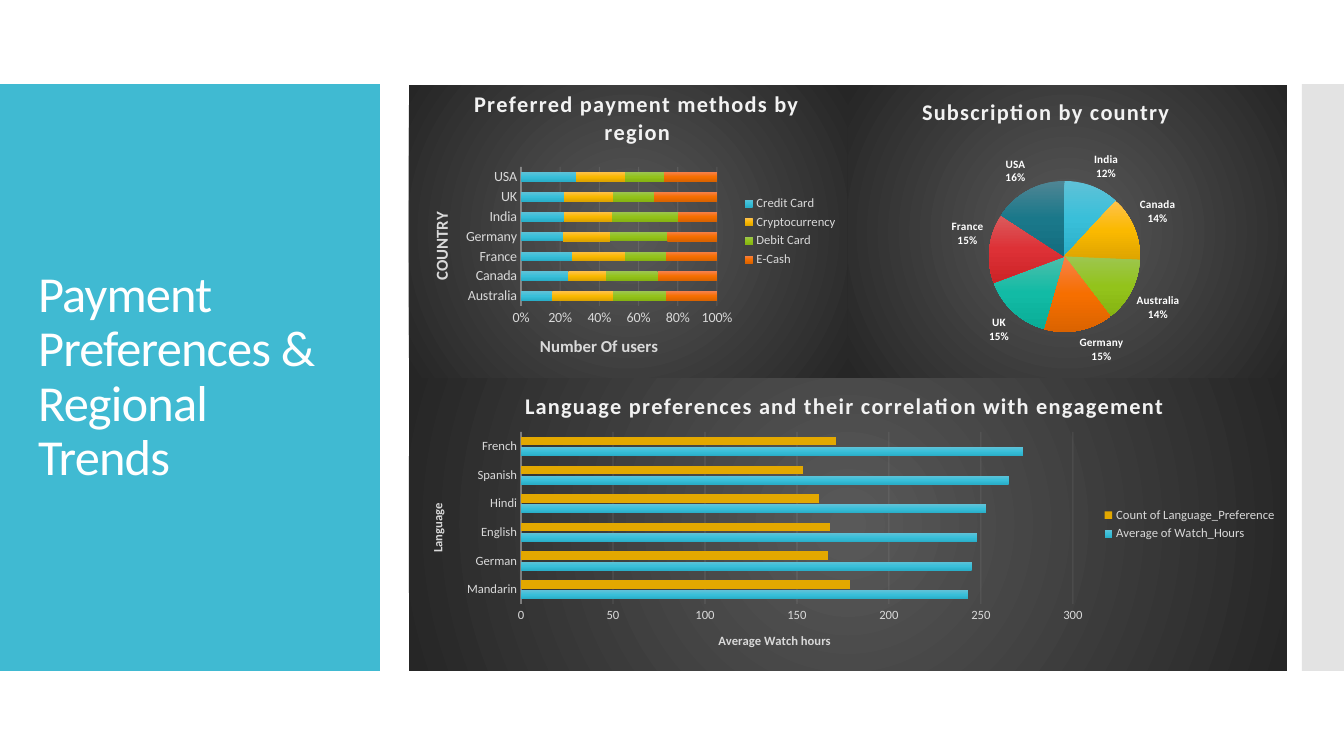
from dataclasses import dataclass
from lxml import etree
from pptx import Presentation
from pptx.chart.data import CategoryChartData
from pptx.dml.color import RGBColor
from pptx.enum.chart import XL_CHART_TYPE, XL_LABEL_POSITION, XL_LEGEND_POSITION, XL_TICK_MARK
from pptx.enum.shapes import MSO_SHAPE
from pptx.enum.text import MSO_ANCHOR, MSO_AUTO_SIZE, PP_ALIGN
from pptx.oxml import parse_xml
from pptx.oxml.ns import nsdecls, qn
from pptx.util import Pt

STACK = XL_CHART_TYPE.BAR_STACKED_100
PIE = XL_CHART_TYPE.PIE
BAR = XL_CHART_TYPE.BAR_CLUSTERED
OUTSIDE = XL_LABEL_POSITION.OUTSIDE_END
RIGHT = XL_LEGEND_POSITION.RIGHT
NO_TICK = XL_TICK_MARK.NONE
RECT = MSO_SHAPE.RECTANGLE
MIDDLE = MSO_ANCHOR.MIDDLE
LEFT = PP_ALIGN.LEFT
FIXED = MSO_AUTO_SIZE.NONE
PX = 12192000 / 1344
LINEAR = '<a:lin ang="5400000" scaled="0"/>'
RADIAL = '<a:path path="circle"><a:fillToRect l="50000" t="50000" r="50000" b="50000"/></a:path>'


@dataclass
class Theme:
    """Colours, font and type sizes."""
    font: str = "Calibri"
    panel: str = "40BAD2"
    strip: str = "C8C8C8"
    white: str = "FFFFFF"
    pale: str = "F2F2F2"
    text: str = "D9D9D9"
    gold: str = "E3A800"
    dark: tuple = ("595959", "262626")
    hues: tuple = (
        ("5FC2D8", "39BFD9", "2AAFC9"), ("FFC24B", "FAB900", "DEA400"),
        ("9DC650", "93C31B", "86B412"), ("F7814B", "F66F00", "DB6300"),
        ("4DBEAB", "12BBA5", "0AAD97"), ("DB5B5D", "DD3136", "CD2327"),
        ("4F8594", "1A788A", "136D7F"))
    title: int = 36
    head: int = 16
    axis: int = 12
    base: int = 10
    small: int = 9
    label: int = 8


def px(*vals):
    """Turn pixel lengths into EMU."""
    return [round(v * PX) for v in vals]


def fade(hues, tail):
    """Make a gradient fill with even stops."""
    step = 100000 // (len(hues) - 1)
    stops = "".join(f'<a:gs pos="{i * step}"><a:srgbClr val="{h}"/></a:gs>'
                    for i, h in enumerate(hues))
    return f'<a:gradFill {nsdecls("a")} rotWithShape="1"><a:gsLst>{stops}</a:gsLst>{tail}</a:gradFill>'


def sheer(root, share):
    """Give every colour under root an opacity in percent."""
    for tint in root.iter(qn("a:srgbClr")):
        etree.SubElement(tint, qn("a:alpha")).set("val", str(share * 1000))


class Deck:
    """Builds the slide in one style."""

    def __init__(self, theme):
        """Open a blank title-only slide."""
        self.theme = theme
        self.prs = Presentation()
        self.prs.slide_width, self.prs.slide_height = px(1344, 756)
        self.slide = self.prs.slides.add_slide(self.prs.slide_layouts[5])
        self.shapes = self.slide.shapes

    def style(self, font, size, hue, bold=False):
        """Set the look of a font."""
        font.name, font.size, font.bold = self.theme.font, Pt(size), bold
        font.color.rgb = RGBColor.from_string(hue)

    def block(self, box, hue, share=100):
        """Draw a plain rectangle."""
        shape = self.shapes.add_shape(RECT, *px(*box))
        shape.shadow.inherit = False
        shape.fill.solid()
        shape.fill.fore_color.rgb = RGBColor.from_string(hue)
        shape.line.fill.background()
        if share < 100:
            sheer(shape._element.spPr, share)

    def title(self, text, box):
        """Fill the title and lift it to the front."""
        shape = self.shapes.title
        shape.left, shape.top, shape.width, shape.height = px(*box)
        frame = shape.text_frame
        frame.text, frame.word_wrap = text, True
        frame.auto_size, frame.vertical_anchor = FIXED, MIDDLE
        para = frame.paragraphs[0]
        para.alignment, para.line_spacing = LEFT, 0.9
        self.style(para.font, self.theme.title, self.theme.white)
        para.runs[0].font._element.set("spc", "-60")
        self.shapes._spTree.append(shape._element)

    def place(self, part, index, spot, box):
        """Pin a chart part by its slide position."""
        for old in part.findall(qn("c:layout")):
            part.remove(old)
        left, top, wide, high = box
        vals = {"x": (spot[0] - left) / wide, "y": (spot[1] - top) / high}
        if len(spot) == 4:
            vals.update(w=spot[2] / wide, h=spot[3] / high)
        target = '<c:layoutTarget val="inner"/>' if len(spot) == 4 else ""
        modes = "".join(f'<c:{k}Mode val="edge"/>' for k in "xy")
        sizes = "".join(f'<c:{k} val="{v:.4f}"/>' for k, v in vals.items())
        part.insert(index, parse_xml(
            f'<c:layout {nsdecls("c")}><c:manualLayout>{target}{modes}{sizes}'
            '</c:manualLayout></c:layout>'))

    def caption(self, title, text, size, hue, spot, box):
        """Write a chart or axis title and pin it."""
        para = title.text_frame.paragraphs[0]
        para.text = text
        self.style(para.font, size, hue, True)
        self.place(title._element, 1, spot, box)
        return title.text_frame

    def tint(self, form, hue):
        """Fill a series or point with a colour or a gradient."""
        form.fill.solid()
        if isinstance(hue, str):
            form.fill.fore_color.rgb = RGBColor.from_string(hue)
        else:
            props = form._element.get_or_add_spPr()
            props.replace(props.find(qn("a:solidFill")), parse_xml(fade(hue, LINEAR)))

    def chart(self, kind, box, plot, cats, rows, head, spot):
        """Add a dark chart with a title."""
        data = CategoryChartData()
        data.categories = cats
        for name, vals in rows:
            data.add_series(name, vals)
        chart = self.shapes.add_chart(kind, *px(*box), data).chart
        self.style(chart.font, self.theme.base, self.theme.text)
        root = chart._chartSpace
        root.find(qn("c:chart")).addnext(parse_xml(
            f'<c:spPr {nsdecls("c", "a")}>{fade(self.theme.dark, RADIAL)}'
            '<a:ln><a:noFill/></a:ln></c:spPr>'))
        chart.has_title, chart.has_legend = True, False
        frame = self.caption(chart.chart_title, head, self.theme.head, self.theme.pale, spot, box)
        frame.paragraphs[0].font._element.set("spc", "100")
        self.place(next(root.iter(qn("c:plotArea"))), 0, plot, box)
        chart.plots[0].vary_by_categories = kind == PIE
        return chart

    def bars(self, chart, box, size, hues, overlap, names, form, top, step):
        """Format bars, axes and legend."""
        plot = chart.plots[0]
        plot.gap_width, plot.overlap = 115, overlap
        for row, hue in zip(plot.series, hues):
            self.tint(row.format, hue)
        axes = chart.category_axis, chart.value_axis
        for axis, (text, large, spot) in zip(axes, names):
            axis.major_tick_mark = axis.minor_tick_mark = NO_TICK
            self.style(axis.tick_labels.font, size, self.theme.text)
            frame = self.caption(axis.axis_title, text, large, self.theme.text, spot, box)
            if axis is axes[0]:
                frame._txBody.bodyPr.set("rot", "-5400000")
                frame._txBody.bodyPr.set("vert", "horz")
        cat, val = axes
        val.has_major_gridlines = True
        val.minimum_scale, val.maximum_scale, val.major_unit = 0, top, step
        val.tick_labels.number_format = form
        val.tick_labels.number_format_is_linked = False
        val.format.line.fill.background()
        for owner, width, share in ((cat, 1, 54), (val.major_gridlines, 0.75, 10)):
            line = owner.format.line
            line.width = Pt(width)
            line.color.rgb = RGBColor.from_string(self.theme.pale)
            sheer(owner.format._element.spPr, share)
        chart.has_legend = True
        chart.legend.position, chart.legend.include_in_layout = RIGHT, False
        self.style(chart.legend.font, self.theme.small, self.theme.text)

    def slices(self, chart):
        """Format pie slices and their labels."""
        plot = chart.plots[0]
        for i, hue in enumerate(self.theme.hues):
            self.tint(plot.series[0].points[i].format, hue)
        plot.has_data_labels = True
        labels = plot.data_labels
        labels.show_value = False
        labels.show_category_name = labels.show_percentage = True
        labels.position = OUTSIDE
        self.style(labels.font, self.theme.label, self.theme.white, True)
        labels._element.find(qn("c:showBubbleSize")).addnext(
            parse_xml(f'<c:separator {nsdecls("c")}>\n</c:separator>'))


def main():
    """Build and save the slide."""
    theme = Theme()
    deck = Deck(theme)
    deck.block((0, 84, 380, 587), theme.panel)
    deck.block((1302, 84, 42, 587), theme.strip, 50)
    deck.title("Payment Preferences & Regional Trends", (28, 124, 325, 507))

    box = (409, 85, 439, 293)
    pay = deck.chart(
        STACK, box, (521, 167, 196, 139),
        ["Australia", "Canada", "France", "Germany", "India", "UK", "USA"],
        [("Credit Card", (16, 24, 26, 21, 22, 22, 28)),
         ("Cryptocurrency", (31, 19, 27, 24, 25, 25, 25)),
         ("Debit Card", (27, 26, 21, 29, 34, 21, 20)),
         ("E-Cash", (26, 30, 26, 25, 20, 32, 27))],
        "Preferred payment methods by region", (470, 84))
    deck.bars(pay, box, theme.base, theme.hues, 100,
              [("COUNTRY", theme.axis, (427, 209)),
               ("Number Of users", theme.axis, (537, 332))], "0%", 1, 0.2)

    share = deck.chart(
        PIE, (848, 85, 439, 293), (989, 181, 151, 151),
        ["India", "Canada", "Australia", "Germany", "UK", "France", "USA"],
        [("Series 1", (12, 14, 14, 15, 15, 15, 16))],
        "Subscription by country", (918, 93))
    deck.slices(share)

    box = (409, 378, 878, 293)
    talk = deck.chart(
        BAR, box, (521, 432, 552, 172),
        ["Mandarin", "German", "English", "Hindi", "Spanish", "French"],
        [("Average of Watch_Hours", (243, 245, 248, 253, 265, 273)),
         ("Count of Language_Preference", (179, 167, 168, 162, 153, 171))],
        "Language preferences and their correlation with engagement", (521, 387))
    deck.bars(talk, box, theme.small, (theme.hues[0], theme.gold), -20,
              [("Language", theme.small, (427, 501)),
               ("Average Watch hours", theme.small, (716, 630))], "0", 300, 50)
    deck.prs.save("out.pptx")


if __name__ == "__main__":
    main()
